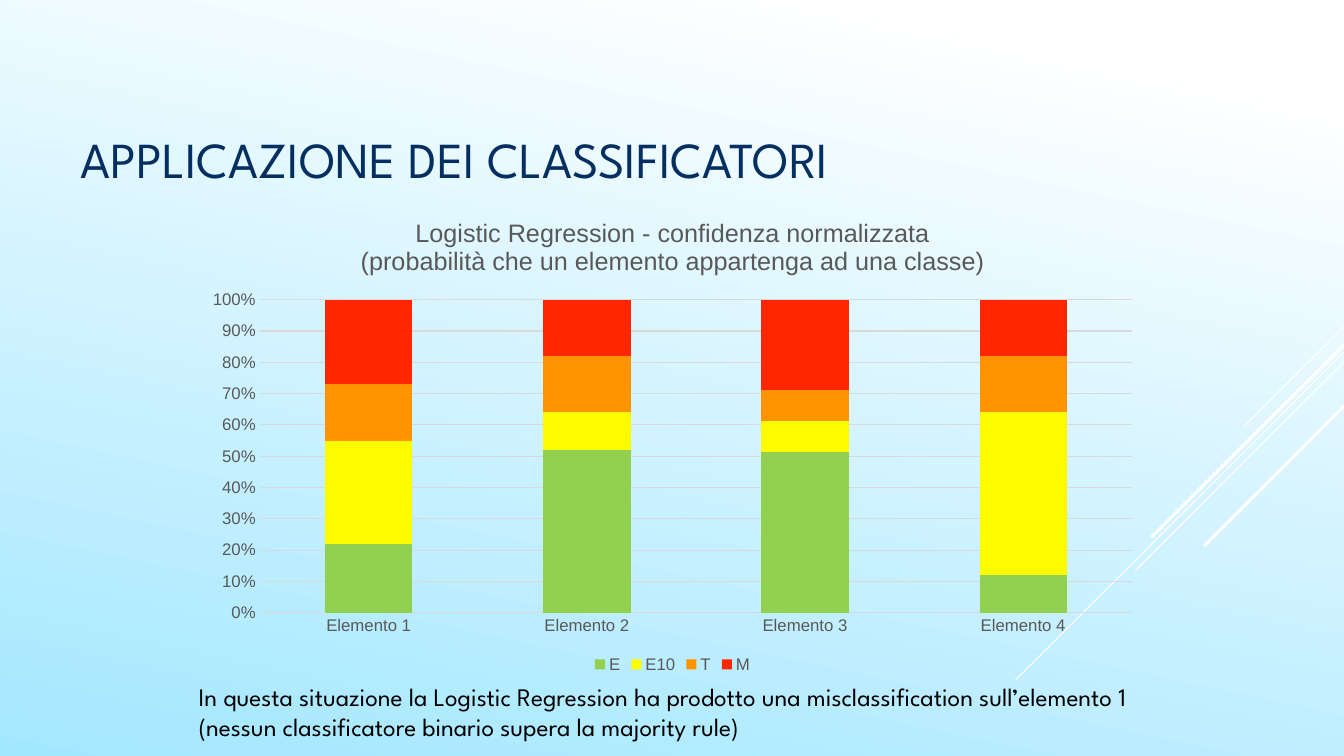
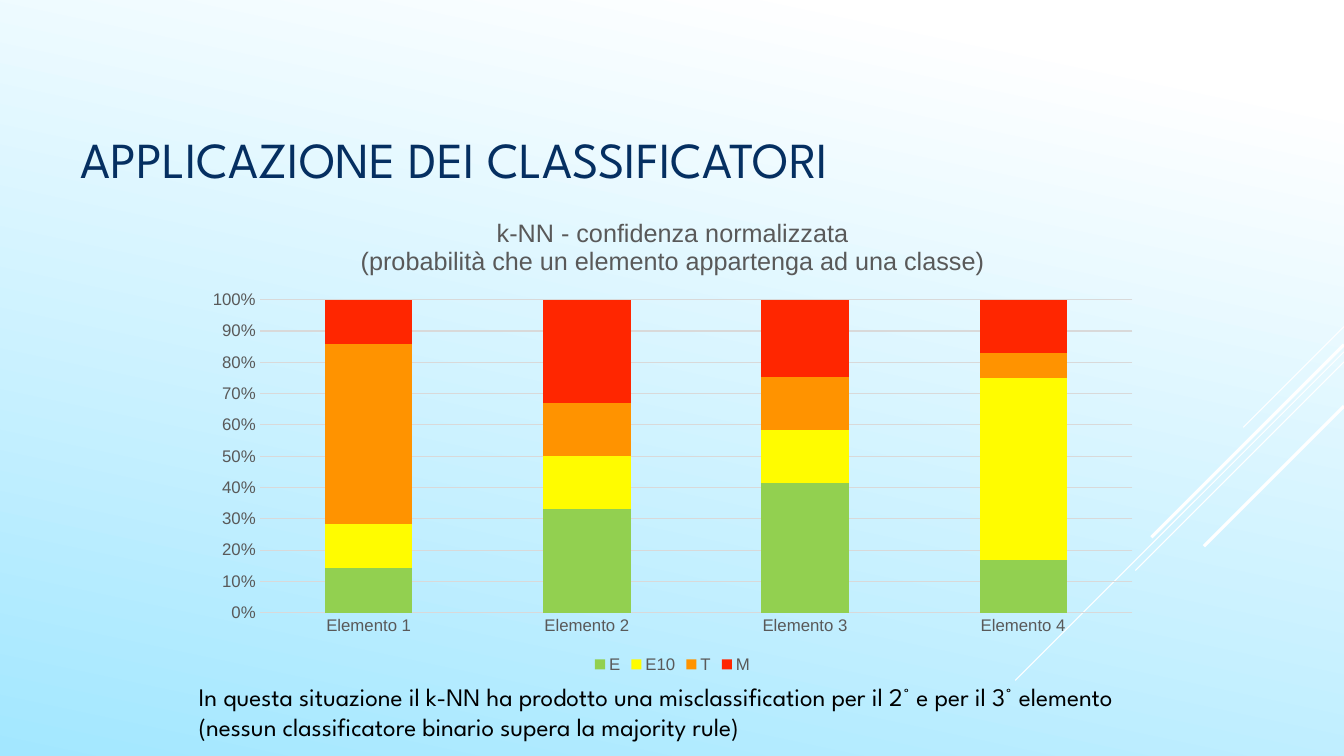
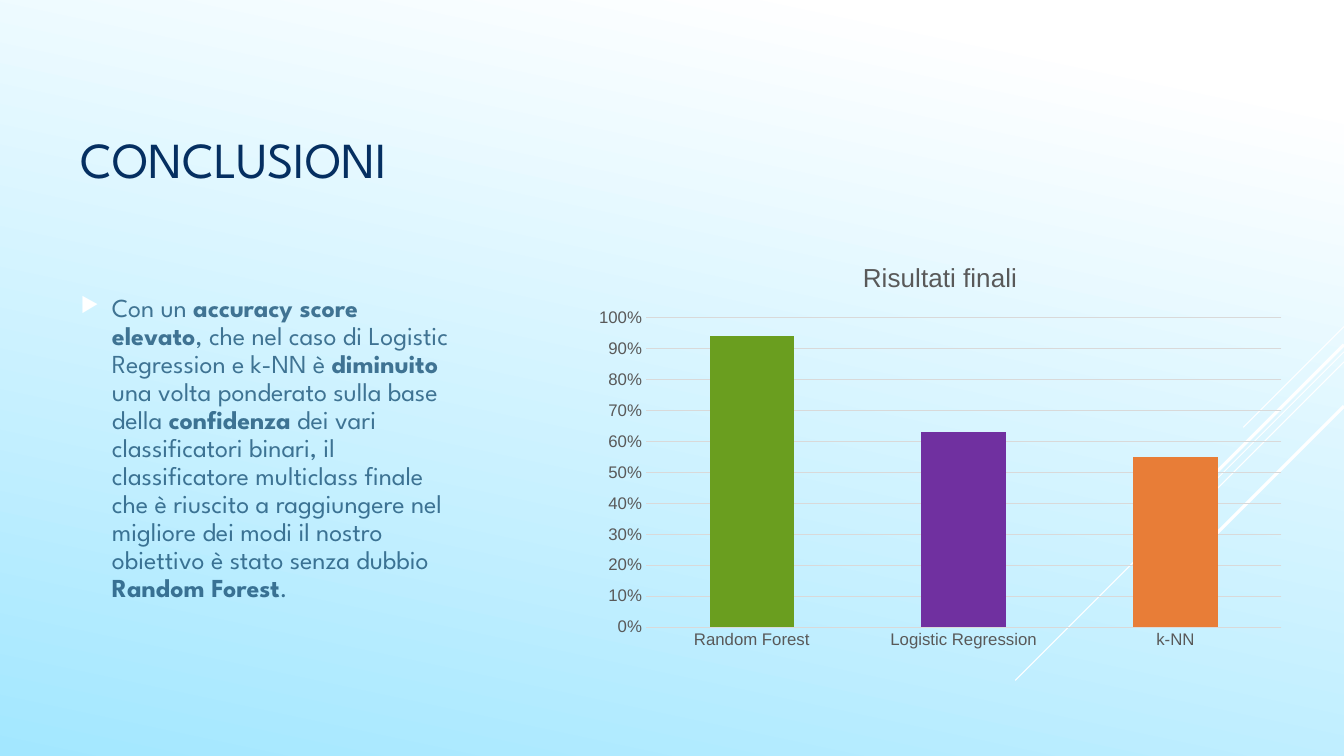
"""Build three slides on classifier results: two confidence charts and the conclusions."""
import pptx
import pptx.chart.data
import pptx.dml.color
import pptx.enum.chart
import pptx.enum.shapes
import pptx.enum.text
import pptx.oxml.ns
import pptx.util
from lxml import etree

Inches, Pt = pptx.util.Inches, pptx.util.Pt
ANCHOR = pptx.enum.text.MSO_ANCHOR
CHART = pptx.enum.chart.XL_CHART_TYPE
qn = pptx.oxml.ns.qn

COLOURS = {
    "white": "FFFFFF", "sky": "A3E7FF", "navy": "052F61", "body": "0F496F",
    "black": "000000", "label": "595959", "grid": "D9D9D9",
    "E": "92D050", "E10": "FFFC00", "T": "FF9300", "M": "FF2600",
    "forest": "6A9E1F", "logistic": "7030A0", "knn": "E87D37",
}
TEXT_FONT, CHART_FONT = "League Spartan", "Arial"
SLIDE_SIZE = (13.33, 7.5)
TITLE_BOX = (0.75, 0.75, 9.33, 1.65)
CONFIDENCE_BOX = (1.92, 1.98, 9.5, 4.74)
CAPTION_BOX = (1.92, 6.71, 9.5, 0.71)
RESULTS_BOX = (5.8, 2.4, 7.05, 4.12)
SUMMARY_BOX = (0.75, 2.4, 3.75, 4.11)
RAYS = [(3.24, 1.0, 0.75), (3.49, 3.26, 0.75), (3.59, 2.07, 0.75),
        (3.42, 1.91, 2.25), (4.03, 1.39, 2.25)]

ELEMENTS = ["Elemento 1", "Elemento 2", "Elemento 3", "Elemento 4"]
CONFIDENCE = [
    {"method": "Logistic Regression",
     "values": {"E": (22, 52, 52, 12), "E10": (33, 12, 10, 52),
                "T": (18, 18, 10, 18), "M": (27, 18, 29, 18)},
     "caption": "In questa situazione la Logistic Regression ha prodotto una "
                "misclassification sull’elemento 1 "},
    {"method": "k-NN",
     "values": {"E": (14, 33, 42, 17), "E10": (14, 17, 17, 58),
                "T": (57, 17, 17, 8), "M": (14, 33, 25, 17)},
     "caption": "In questa situazione il k-NN ha prodotto una "
                "misclassification per il 2° e per il 3° elemento "},
]
CONFIDENCE_TITLE = " - confidenza normalizzata\n(probabilità che un elemento appartenga ad una classe)"
MAJORITY_NOTE = "(nessun classificatore binario supera la majority rule)"
RESULTS = [("Random Forest", 0.94, "forest"), ("Logistic Regression", 0.63, "logistic"),
           ("k-NN", 0.55, "knn")]
SUMMARY = [
    ("Con un ", False), ("accuracy score elevato", True),
    (", che nel caso di Logistic Regression e k-NN è ", False), ("diminuito", True),
    (" una volta ponderato sulla base della ", False), ("confidenza", True),
    (" dei vari classificatori binari, il classificatore multiclass finale che è riuscito "
     "a raggiungere nel migliore dei modi il nostro obiettivo è stato senza dubbio ", False),
    ("Random Forest", True), (".", False),
]


def rgb(name):
    return pptx.dml.color.RGBColor.from_string(COLOURS[name])


def inches(box):
    return [Inches(length) for length in box]


def style_font(font, size, colour, name=CHART_FONT, bold=False):
    font.size, font.name, font.bold = Pt(size), name, bold
    font.color.rgb = rgb(colour)


def add_bullet(paragraph, colour, indent=0.31):
    properties = paragraph._p.get_or_add_pPr()
    properties.set("marL", str(Inches(indent)))
    properties.set("indent", str(-Inches(indent)))
    tint = etree.SubElement(properties, qn("a:buClr"))
    etree.SubElement(tint, qn("a:srgbClr"), val=COLOURS[colour])
    etree.SubElement(properties, qn("a:buSzPct"), val="80000")
    etree.SubElement(properties, qn("a:buChar"), char="▶")


def add_text(slide, text, box, size=18, colour="black", anchor=ANCHOR.TOP,
             spacing=None, bullet=None, opacity=None):
    frame = slide.shapes.add_textbox(*inches(box)).text_frame
    frame.word_wrap, frame.vertical_anchor = True, anchor
    frame.margin_left = frame.margin_right = Inches(0.05)
    frame.margin_top = frame.margin_bottom = Inches(0.05)
    paragraph = frame.paragraphs[0]
    if spacing:
        paragraph.line_spacing = spacing
    if bullet:
        add_bullet(paragraph, bullet)
    for words, bold in [(text, False)] if isinstance(text, str) else text:
        run = paragraph.add_run()
        run.text = words
        style_font(run.font, size, colour, TEXT_FONT, bold)
        if opacity:
            for tint in run._r.iter(qn("a:srgbClr")):
                etree.SubElement(tint, qn("a:alpha"), val=str(opacity * 1000))


def add_ray(slide, top, reach, width):
    right = SLIDE_SIZE[0]
    ray = slide.shapes.add_connector(
        pptx.enum.shapes.MSO_CONNECTOR.STRAIGHT,
        *inches((right, top, right - reach, top + reach)))
    ray.line.color.rgb, ray.line.width = rgb("white"), Pt(width)
    etree.SubElement(ray._element.spPr, qn("a:effectLst"))


def add_slide(deck, title):
    slide = deck.slides.add_slide(deck.slide_layouts[6])
    for ray in RAYS:
        add_ray(slide, *ray)
    add_text(slide, title, TITLE_BOX, size=36, colour="navy", anchor=ANCHOR.MIDDLE)
    return slide


def add_columns(slide, kind, box, title, title_size, categories, series):
    figures = pptx.chart.data.CategoryChartData()
    figures.categories = categories
    for name, values, _ in series:
        figures.add_series(name, values)
    chart = slide.shapes.add_chart(kind, *inches(box), figures).chart
    style_font(chart.font, 10, "black")
    chart.has_legend = False
    chart.has_title = True
    heading = chart.chart_title.text_frame
    heading.text = title
    for paragraph in heading.paragraphs:
        for run in paragraph.runs:
            style_font(run.font, title_size, "label")
    for axis in (chart.category_axis, chart.value_axis):
        axis.major_tick_mark = axis.minor_tick_mark = pptx.enum.chart.XL_TICK_MARK.NONE
        style_font(axis.tick_labels.font, 12, "label")
    chart.value_axis.format.line.fill.background()
    chart.value_axis.tick_labels.number_format = "0%"
    chart.value_axis.tick_labels.number_format_is_linked = False
    for line in (chart.category_axis.format.line, chart.value_axis.major_gridlines.format.line):
        line.color.rgb, line.width = rgb("grid"), Pt(0.75)
    plot = chart.plots[0]
    plot.vary_by_categories, plot.gap_width, plot.overlap = False, 150, 100
    for columns, (_, _, colour) in zip(plot.series, series):
        columns.invert_if_negative = False
        columns.format.fill.solid()
        columns.format.fill.fore_color.rgb = rgb(colour)
    return chart


def add_confidence_slide(deck, method, values, caption):
    slide = add_slide(deck, "APPLICAZIONE DEI CLASSIFICATORI")
    series = [(name, shares, name) for name, shares in values.items()]
    chart = add_columns(slide, CHART.COLUMN_STACKED_100, CONFIDENCE_BOX,
                        method + CONFIDENCE_TITLE, 18, ELEMENTS, series)
    chart.has_legend = True
    chart.legend.position = pptx.enum.chart.XL_LEGEND_POSITION.BOTTOM
    chart.legend.include_in_layout = False
    style_font(chart.legend.font, 12, "label")
    add_text(slide, caption + MAJORITY_NOTE, CAPTION_BOX)


def add_conclusions_slide(deck):
    slide = add_slide(deck, "CONCLUSIONI")
    methods, scores, colours = zip(*RESULTS)
    chart = add_columns(slide, CHART.COLUMN_STACKED, RESULTS_BOX, "Risultati finali", 18.6,
                        methods, [("Series 1", scores, colours[0])])
    axis = chart.value_axis
    axis.minimum_scale, axis.maximum_scale, axis.major_unit = 0, 1, 0.1
    for index, colour in enumerate(colours[1:], start=1):
        fill = chart.plots[0].series[0].points[index].format.fill
        fill.solid()
        fill.fore_color.rgb = rgb(colour)
    add_text(slide, SUMMARY, SUMMARY_BOX, size=18.5, colour="body", anchor=ANCHOR.MIDDLE,
             spacing=0.9, bullet="white", opacity=75)


def main():
    deck = pptx.Presentation()
    deck.slide_width, deck.slide_height = inches(SLIDE_SIZE)
    backdrop = deck.slide_master.background.fill
    backdrop.gradient()
    backdrop.gradient_angle = 258
    for stop, (position, colour) in zip(backdrop.gradient_stops, [(0.1, "white"), (1, "sky")]):
        stop.position, stop.color.rgb = position, rgb(colour)
    for content in CONFIDENCE:
        add_confidence_slide(deck, **content)
    add_conclusions_slide(deck)
    deck.save("out.pptx")


if __name__ == "__main__":
    main()
